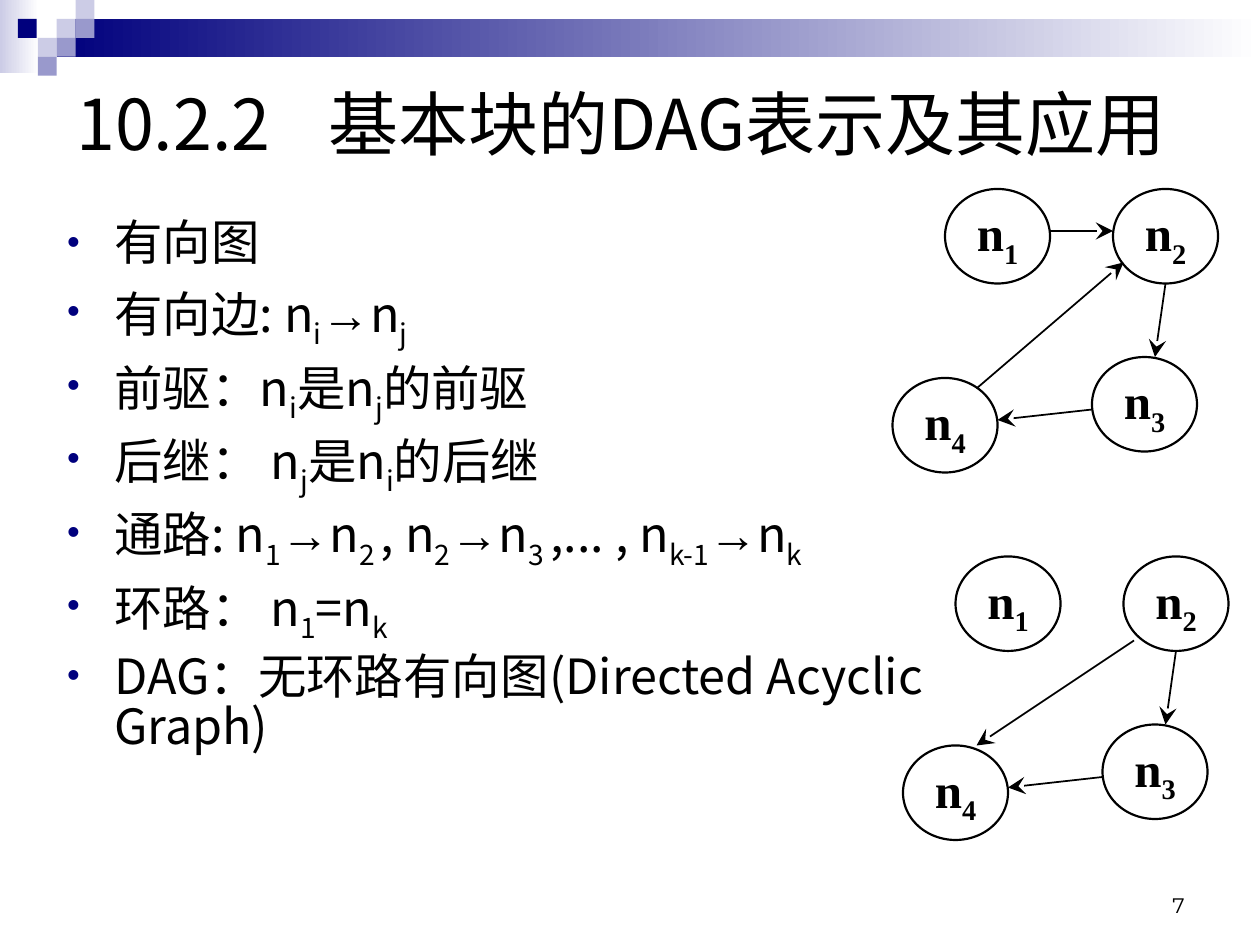
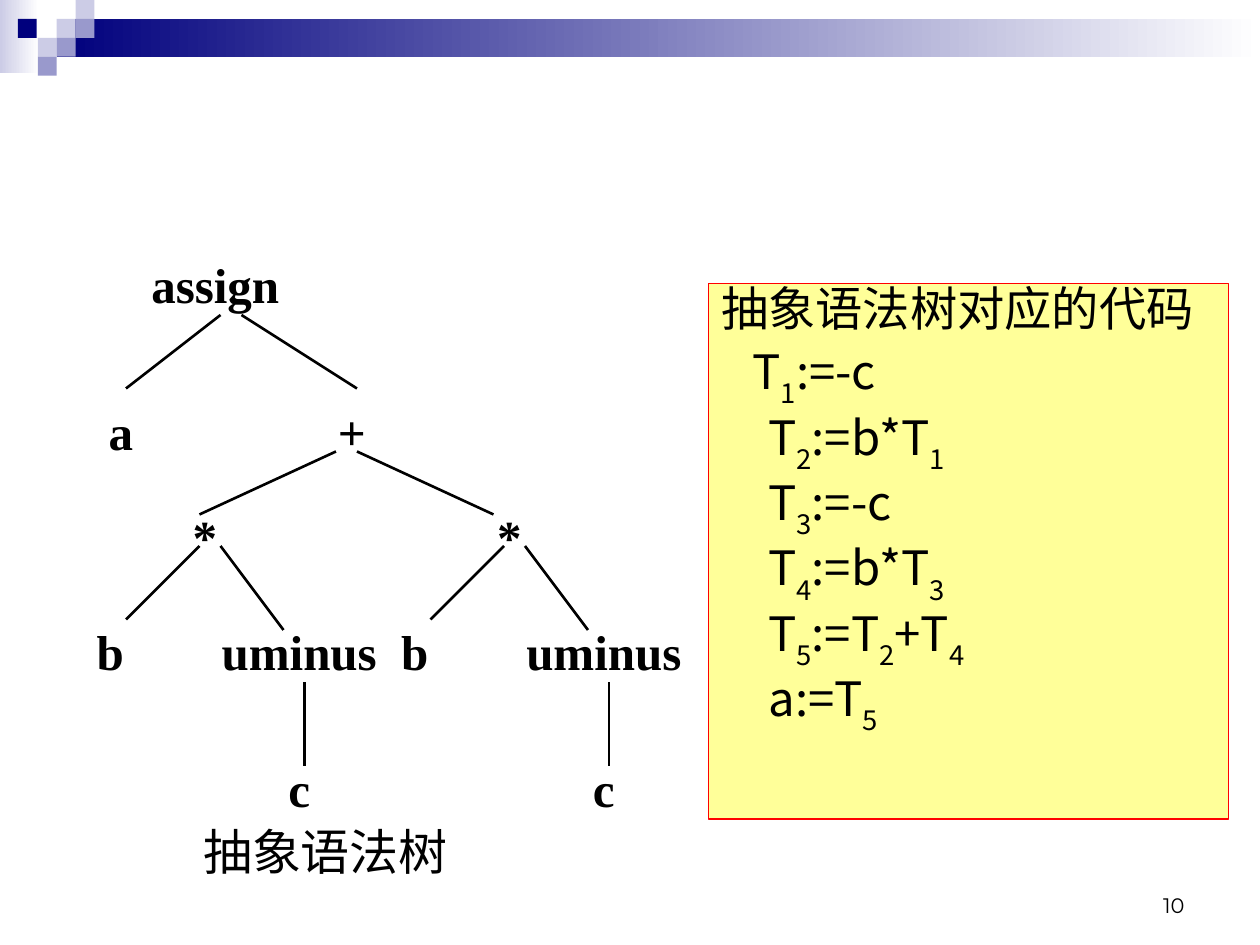
from dataclasses import dataclass
from itertools import groupby
from typing import NamedTuple

from lxml.etree import SubElement as Sub
from pptx import Presentation
from pptx.dml.color import RGBColor as Rgb
from pptx.enum.shapes import MSO_CONNECTOR as Link, MSO_SHAPE as Kind
from pptx.enum.text import MSO_ANCHOR as Anchor, PP_ALIGN as Align
from pptx.oxml.ns import qn
from pptx.util import Emu, Pt

SCALE = 7620


@dataclass(frozen=True)
class Theme:
    black: str = "000000"
    white: str = "FFFFFF"
    navy: str = "00007D"
    mid: str = "9999CC"
    pale: str = "CCCCE6"
    cream: str = "FFFF99"
    red: str = "FF0000"
    sans: str = "Noto Sans CJK SC"
    serif: str = "Times New Roman"
    arrow: str = "Arial"
    page: str = "Montserrat"
    title: float = 40
    body: float = 27.7
    code: float = 27
    label: float = 28
    small: float = 12


THEME = Theme()


class Box(NamedTuple):
    x: int
    y: int
    w: int
    h: int


class Edge(NamedTuple):
    x1: int
    y1: int
    x2: int
    y2: int


class Word(NamedTuple):
    text: str
    x: int
    y: int


class Band(NamedTuple):
    box: Box
    tint: str
    fade: bool = False


class Style(NamedTuple):
    font: str
    size: float
    bold: bool = False
    drop: int = -25


class Row(NamedTuple):
    text: str
    left: int = 0
    first: int = 0
    dot: bool = False


HEAD = Style(THEME.sans, THEME.title)
BODY = Style(THEME.sans, THEME.body)
CODE = Style(THEME.sans, THEME.code, drop=-30)
LABEL = Style(THEME.serif, THEME.label, bold=True)
NOTE = Style(THEME.serif, THEME.label)
PAGE = Style(THEME.page, THEME.small)

CELL = 18
BANDS = [
    Band(Box(0, 0, 37, 70), THEME.pale, True),
    Band(Box(54, 18, 1146, 36), THEME.navy, True),
] + [
    Band(Box(x, y, CELL, CELL), tint)
    for x, y, tint in [
        (54, 18, THEME.pale),
        (72, 0, THEME.pale),
        (72, 18, THEME.mid),
        (36, 36, THEME.pale),
        (17, 18, THEME.navy),
        (54, 36, THEME.mid),
        (36, 54, THEME.mid),
    ]
]

TERMS = [
    "有向图",
    "有向边: n|i|→n|j",
    "前驱：n|i|是n|j|的前驱",
    "后继： n|j|是n|i|的后继",
    "通路: n|1|→n|2 |, n|2|→n|3 |,... , n|k-1|→n|k",
    "环路： n|1|=n|k",
    "DAG：无环路有向图(Directed Acyclic Graph)",
]
NODES = [
    Word("n|1", 900, 180),
    Word("n|2", 1060, 180),
    Word("n|3", 1040, 340),
    Word("n|4", 850, 360),
]
SHARED = [Edge(1110, 270, 1100, 340), Edge(1040, 390, 950, 400)]
CYCLE = SHARED + [Edge(1000, 220, 1060, 220), Edge(930, 370, 1070, 250)]
DAG = SHARED + [Edge(1070, 260, 920, 360)]

CROWN = [Word("assign", 125, 230), Word("a", 35, 370), Word("+", 255, 370)]
FORKS = [
    Edge(210, 300, 120, 370),
    Edge(230, 300, 340, 370),
    Edge(320, 430, 190, 490),
    Edge(340, 430, 470, 490),
]
BRANCH = [
    Word("*", 115, 470),
    Word("b", 25, 580),
    Word("uminus", 205, 580),
    Word("c", 205, 710),
]
TWIGS = [
    Edge(190, 520, 120, 590),
    Edge(210, 520, 270, 600),
    Edge(290, 650, 290, 730),
]
LINES = [
    "T|2|:=b*T|1",
    "T|3|:=-c",
    "T|4|:=b*T|3",
    "T|5|:=T|2|+T|4",
    "a:=T|5",
]


def px(n: int) -> Emu:
    return Emu(n * SCALE)


def tint(name: str) -> Rgb:
    return Rgb.from_string(name)


def write(para, text: str, style: Style) -> None:
    for i, part in enumerate(text.split("|")):
        for arrow, signs in groupby(part, lambda sign: sign == "→"):
            run = para.add_run()
            run.text = "".join(signs)
            font = run.font
            font.name = THEME.arrow if arrow else style.font
            font.size = Pt(style.size)
            font.bold = style.bold
            font.color.rgb = tint(THEME.black)
            props = run._r.get_or_add_rPr()
            Sub(props, qn("a:ea"), typeface=THEME.sans)
            if i % 2:
                props.set("baseline", str(style.drop * 1000))


def fill_rows(frame, rows: list[Row], style: Style, lead: float, gap: float) -> None:
    frame.word_wrap = True
    for i, row in enumerate(rows):
        para = frame.add_paragraph() if i else frame.paragraphs[0]
        para.alignment = Align.LEFT
        para.line_spacing = lead
        if i:
            para.space_before = Pt(gap)
        props = para._p.get_or_add_pPr()
        props.set("marL", str(px(row.left)))
        props.set("indent", str(px(row.first)))
        if row.dot:
            hue = Sub(props, qn("a:buClr"))
            Sub(hue, qn("a:srgbClr"), val=THEME.navy)
            Sub(props, qn("a:buSzPct"), val="75000")
            Sub(props, qn("a:buFont"), typeface=THEME.arrow)
            Sub(props, qn("a:buChar"), char="•")
        write(para, row.text, style)


def add_form(slide, kind: Kind, box: Box):
    form = slide.shapes.add_shape(kind, *map(px, box))
    form.shadow.inherit = False
    return form


def add_band(slide, band: Band) -> None:
    form = add_form(slide, Kind.RECTANGLE, band.box)
    form.line.fill.background()
    if band.fade:
        form.fill.gradient()
        form.fill.gradient_angle = 0
        for stop, name in zip(form.fill.gradient_stops, (band.tint, THEME.white)):
            stop.color.rgb = tint(name)
    else:
        form.fill.solid()
        form.fill.fore_color.rgb = tint(band.tint)


def put_text(form, text: str, style: Style, align: Align, anchor: Anchor, wrap: bool) -> None:
    frame = form.text_frame
    frame.word_wrap = wrap
    frame.vertical_anchor = anchor
    if not wrap:
        frame.margin_left = frame.margin_right = 0
    para = frame.paragraphs[0]
    para.alignment = align
    write(para, text, style)


def add_text(slide, text: str, box: Box, style: Style,
             align: Align = Align.CENTER, anchor: Anchor = Anchor.MIDDLE,
             wrap: bool = False) -> None:
    form = slide.shapes.add_textbox(*map(px, box))
    put_text(form, text, style, align, anchor, wrap)


def add_edge(slide, edge: Edge, width: float, dx: int = 0, dy: int = 0, tip: bool = False) -> None:
    ends = (edge.x1 + dx, edge.y1 + dy, edge.x2 + dx, edge.y2 + dy)
    link = slide.shapes.add_connector(Link.STRAIGHT, *map(px, ends))
    link.line.width = Pt(width)
    link.line.color.rgb = tint(THEME.black)
    if tip:
        Sub(link.line._get_or_add_ln(), qn("a:tailEnd"), type="stealth", w="lg", len="lg")
    Sub(link._element.spPr, qn("a:effectLst"))


def add_graph(slide, edges: list[Edge], dx: int = 0, dy: int = 0) -> None:
    for node in NODES:
        form = add_form(slide, Kind.OVAL, Box(node.x + dx, node.y + dy, 100, 90))
        form.fill.background()
        form.line.color.rgb = tint(THEME.black)
        form.line.width = Pt(1.25)
        put_text(form, node.text, LABEL, Align.CENTER, Anchor.MIDDLE, False)
    for edge in edges:
        add_edge(slide, edge, 1, dx, dy, True)


def add_tree(slide, words: list[Word], edges: list[Edge], dx: int = 0) -> None:
    for word in words:
        add_text(slide, word.text, Box(word.x + dx, word.y, 160, 80), LABEL)
    for edge in edges:
        add_edge(slide, edge, 1.5, dx)


def start(deck, page: int):
    slide = deck.slides.add_slide(deck.slide_layouts[6])
    for band in BANDS:
        add_band(slide, band)
    add_text(slide, str(page), Box(860, 820, 280, 60), PAGE, Align.RIGHT, Anchor.BOTTOM, True)
    return slide


def draw_terms(deck) -> None:
    slide = start(deck, 7)
    add_text(slide, "10.2.2\t基本块的DAG表示及其应用", Box(61, 72, 1080, 90), HEAD, Align.LEFT, wrap=True)
    form = slide.shapes.add_textbox(*map(px, Box(52, 204, 868, 580)))
    rows = [Row(term, 45, -45, True) for term in TERMS]
    fill_rows(form.text_frame, rows, BODY, 0.87, 9)
    add_graph(slide, CYCLE)
    add_graph(slide, DAG, 10, 350)


def draw_tree(deck) -> None:
    slide = start(deck, 10)
    form = add_form(slide, Kind.RECTANGLE, Box(675, 270, 495, 510))
    form.fill.solid()
    form.fill.fore_color.rgb = tint(THEME.cream)
    form.line.color.rgb = tint(THEME.red)
    form.line.width = Pt(0.75)
    form.text_frame.vertical_anchor = Anchor.TOP
    rows = [Row("抽象语法树对应的代码"), Row("T|1|:=-c", 30)]
    rows += [Row(line, 45) for line in LINES]
    fill_rows(form.text_frame, rows, CODE, 0.8, 6.8)
    add_tree(slide, CROWN, FORKS)
    for dx in (0, 290):
        add_tree(slide, BRANCH, TWIGS, dx)
    add_text(slide, "抽象语法树", Box(185, 770, 250, 80), NOTE)


def main() -> None:
    deck = Presentation()
    deck.slide_width, deck.slide_height = px(1200), px(900)
    draw_terms(deck)
    draw_tree(deck)
    deck.save("out.pptx")


if __name__ == "__main__":
    main()
